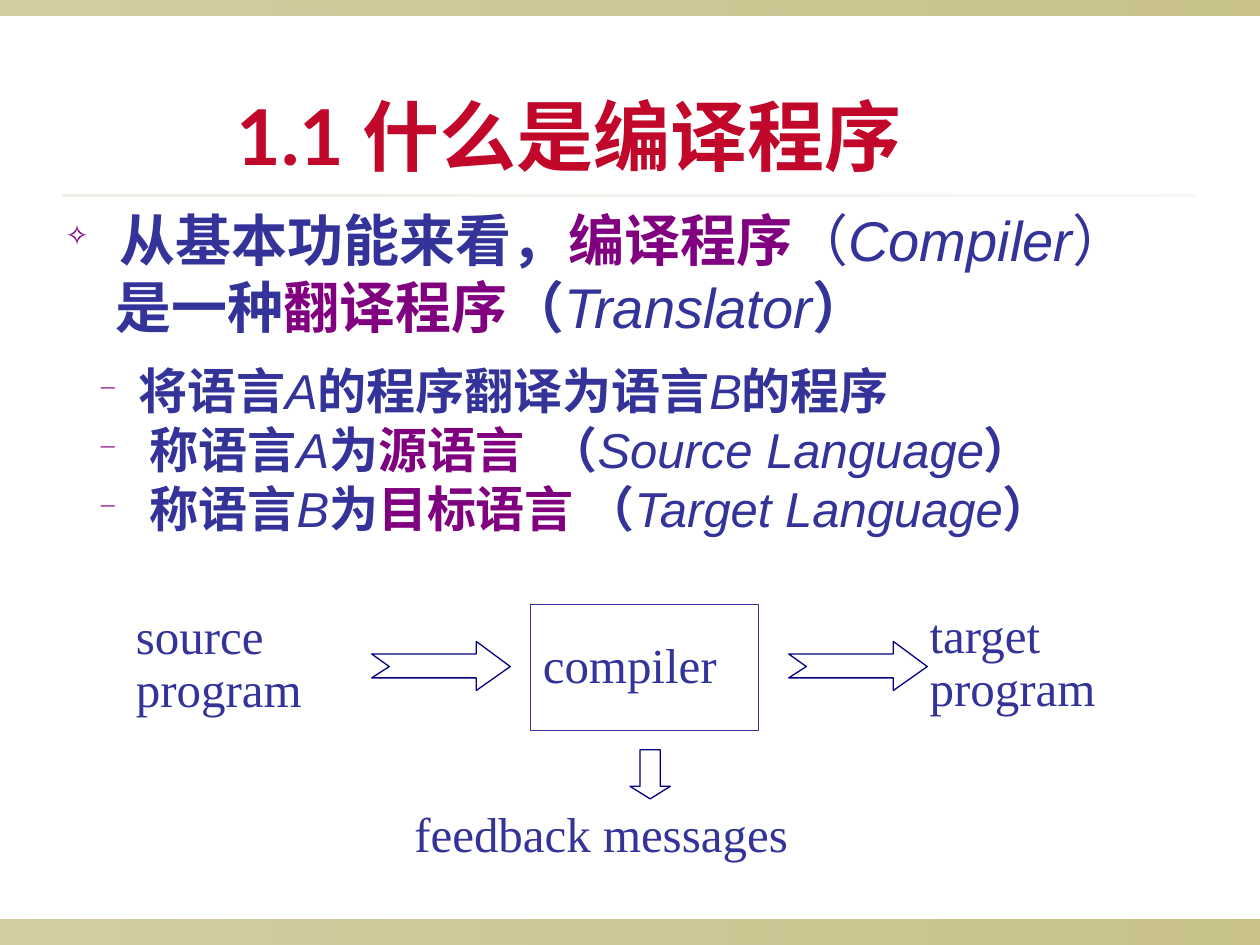
from lxml import etree
from pptx import Presentation
from pptx.dml.color import RGBColor
from pptx.enum import shapes, text
from pptx.oxml import ns
from pptx.util import Inches, Pt

OLIVE = RGBColor(0x91, 0x84, 0x15)
SAND = RGBColor(0xDC, 0xD9, 0xCC)
RED = RGBColor(0xC1, 0x07, 0x2A)
BLUE = RGBColor(0x33, 0x33, 0x99)
NAVY = RGBColor(0x00, 0x00, 0x80)
PURPLE = RGBColor(0x80, 0x00, 0x80)
WHITE = RGBColor(0xFF, 0xFF, 0xFF)

deck = Presentation()
deck.slide_width, deck.slide_height = Inches(10), Inches(7.5)
page = deck.slides.add_slide(deck.slide_layouts[6])


def outline(shape, line_color):
    shape.shadow.inherit = False
    shape.fill.solid()
    shape.fill.fore_color.rgb = WHITE
    shape.line.color.rgb = line_color
    shape.line.width = Pt(0.75)


def add_span(para, words, size, color, bold=False, italic=False, latin="Arial"):
    span = para.add_run()
    span.text = words
    font = span.font
    font.name, font.size, font.bold, font.italic = latin, Pt(size), bold, italic
    font.color.rgb = color
    # East Asian typeface
    etree.SubElement(span._r.get_or_add_rPr(), ns.qn("a:ea"), typeface="Lato")


# Translucent bands at the edges and the rule under the title
for left, top, width, height, color, opacities in [
    (0, 7.3, 10, 0.2, OLIVE, (40, 50)),
    (0, 0, 10, 0.12, OLIVE, (40, 50)),
    (0.5, 1.54, 9, 0.02, SAND, (50, 20)),
]:
    band = page.shapes.add_shape(shapes.MSO_SHAPE.RECTANGLE, Inches(left),
                                 Inches(top), Inches(width), Inches(height))
    band.shadow.inherit = False
    band.line.fill.background()
    band.fill.gradient()
    band.fill.gradient_angle = 0
    for stop, opacity in zip(band.fill.gradient_stops, opacities):
        stop.color.rgb = color
    colors = band._element.spPr.iter(ns.qn("a:srgbClr"))
    for node, opacity in zip(colors, opacities):
        etree.SubElement(node, ns.qn("a:alpha"), val=str(opacity * 1000))

# Title
title = page.shapes.add_textbox(Inches(0.27), Inches(0.44), Inches(8.5), Inches(1.25))
title.text_frame.word_wrap = True
title.text_frame.vertical_anchor = text.MSO_ANCHOR.MIDDLE
para = title.text_frame.paragraphs[0]
para.alignment = text.PP_ALIGN.CENTER
add_span(para, "1.1 什么是编译程序", 44, RED, bold=True, latin="Lato")

# Definition: B is bold blue, P bold purple, N plain blue, I italic blue
STYLES = {
    "B": (BLUE, True, False),
    "P": (PURPLE, True, False),
    "N": (BLUE, False, False),
    "I": (BLUE, False, True),
}
# Size, bullet, bullet position, text position, space before, spans
lines = [
    (32, "✧", 0, 0.43, 0, [("B", "从基本功能来看，"), ("P", "编译程序"), ("N", "（"),
                           ("I", "Compiler"), ("N", "）")]),
    (32, None, 0.4, 0.4, 0, [("B", "是一种"), ("P", "翻译程序"), ("B", "（"),
                             ("I", "Translator"), ("B", "）")]),
    (28, "−", 0.26, 0.58, 12, [("B", "将语言"), ("I", "A"), ("B", "的程序翻译为语言"),
                               ("I", "B"), ("B", "的程序")]),
    (28, "−", 0.26, 0.67, 0, [("B", "称语言"), ("I", "A"), ("B", "为"), ("P", "源语言"),
                              ("B", "  （"), ("I", "Source Language"), ("B", "）")]),
    (28, "−", 0.26, 0.67, 0, [("B", "称语言"), ("I", "B"), ("B", "为"), ("P", "目标语言"),
                              ("B", " （"), ("I", "Target Language"), ("B", "）")]),
]
body = page.shapes.add_textbox(Inches(0.42), Inches(1.58), Inches(8.92), Inches(4.26))
frame = body.text_frame
frame.word_wrap = True
for number, (size, bullet, start, indent, before, spans) in enumerate(lines):
    para = frame.add_paragraph() if number else frame.paragraphs[0]
    para.space_before = Pt(before)
    props = para._p.get_or_add_pPr()
    props.set("marL", str(Inches(indent)))
    props.set("indent", str(Inches(start) - Inches(indent)))
    if bullet:
        bullet_color = etree.SubElement(props, ns.qn("a:buClr"))
        etree.SubElement(bullet_color, ns.qn("a:srgbClr"), val=str(PURPLE))
        etree.SubElement(props, ns.qn("a:buSzPct"), val="50000")
        etree.SubElement(props, ns.qn("a:buChar"), char=bullet)
    for style, words in spans:
        add_span(para, words, size, *STYLES[style])

# Diagram: compiler box and labels
compiler = page.shapes.add_shape(shapes.MSO_SHAPE.RECTANGLE, Inches(4.21), Inches(4.8),
                                 Inches(1.81), Inches(1))
outline(compiler, BLUE)
compiler.text_frame.vertical_anchor = text.MSO_ANCHOR.MIDDLE
labels = [(compiler, "compiler")]
for left, top, width, height, words in [
    (0.98, 4.81, 2.05, 0.94, "source program"),
    (7.28, 4.8, 2.05, 0.94, "target program"),
    (3.19, 6.38, 4.17, 0.52, "feedback messages"),
]:
    box = page.shapes.add_textbox(Inches(left), Inches(top), Inches(width), Inches(height))
    labels.append((box, words))
for box, words in labels:
    box.text_frame.word_wrap = box is not compiler
    para = box.text_frame.paragraphs[0]
    para.text = words
    para.alignment = text.PP_ALIGN.JUSTIFY
    para.line_spacing = 0.9
    para.font.name, para.font.size = "Times New Roman", Pt(28)
    para.font.color.rgb = BLUE

# Notched arrows into and out of the compiler
NOTCHED = [(0, 0.1), (0.83, 0.1), (0.83, 0), (1.1, 0.2), (0.83, 0.39),
           (0.83, 0.29), (0, 0.29), (0.14, 0.2)]
for left in (2.95, 6.26):
    points = [(Inches(left + x), Inches(5.09 + y)) for x, y in NOTCHED]
    builder = page.shapes.build_freeform(*points[0])
    builder.add_line_segments(points[1:], close=True)
    outline(builder.convert_to_shape(), NAVY)

# Arrow down to the feedback
down = page.shapes.add_shape(shapes.MSO_SHAPE.DOWN_ARROW, Inches(5), Inches(5.95),
                             Inches(0.32), Inches(0.39))
down.adjustments[1] = 0.31
outline(down, NAVY)

deck.save("out.pptx")
